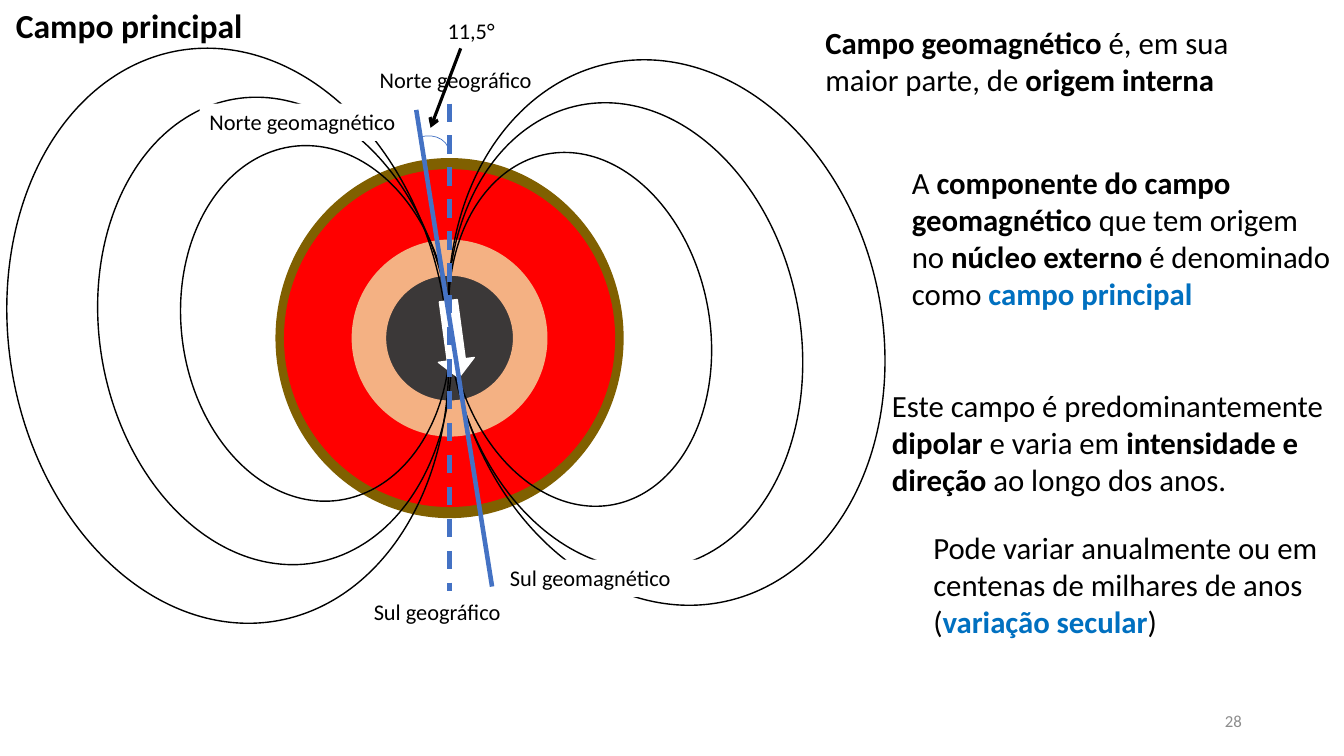
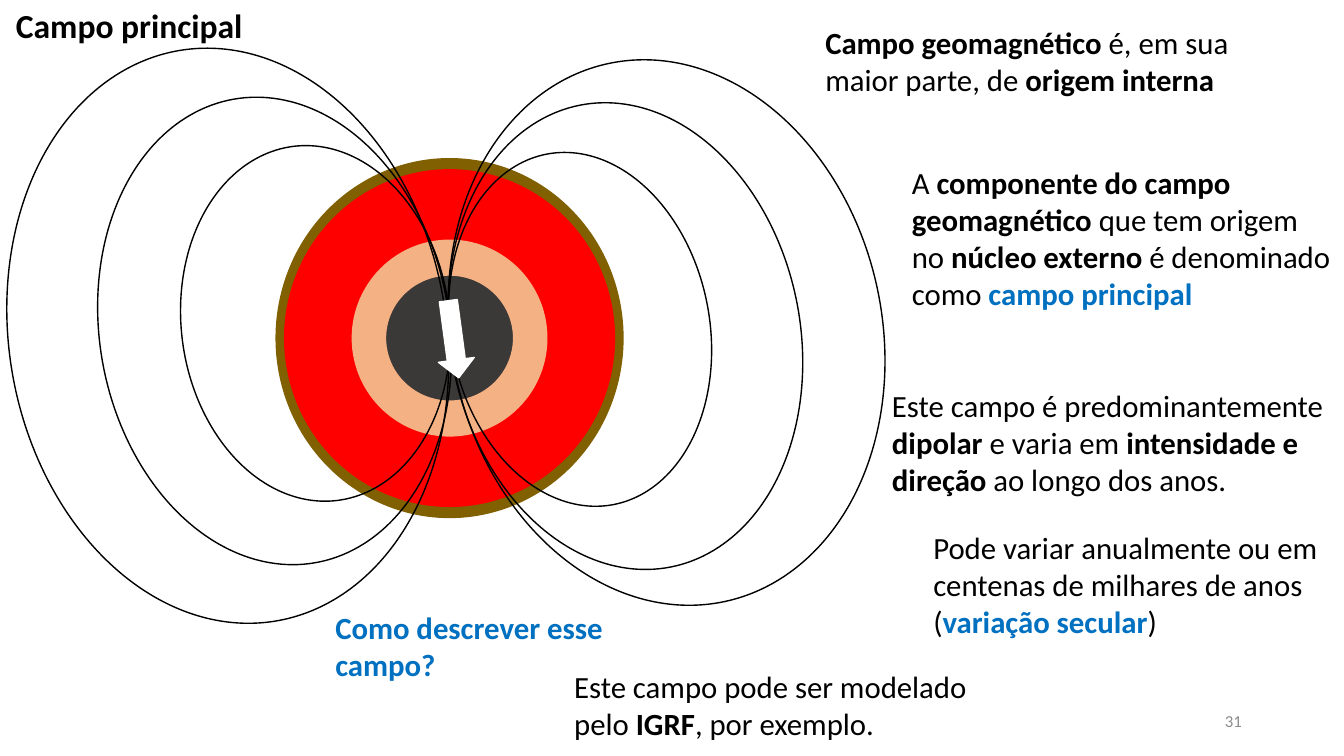
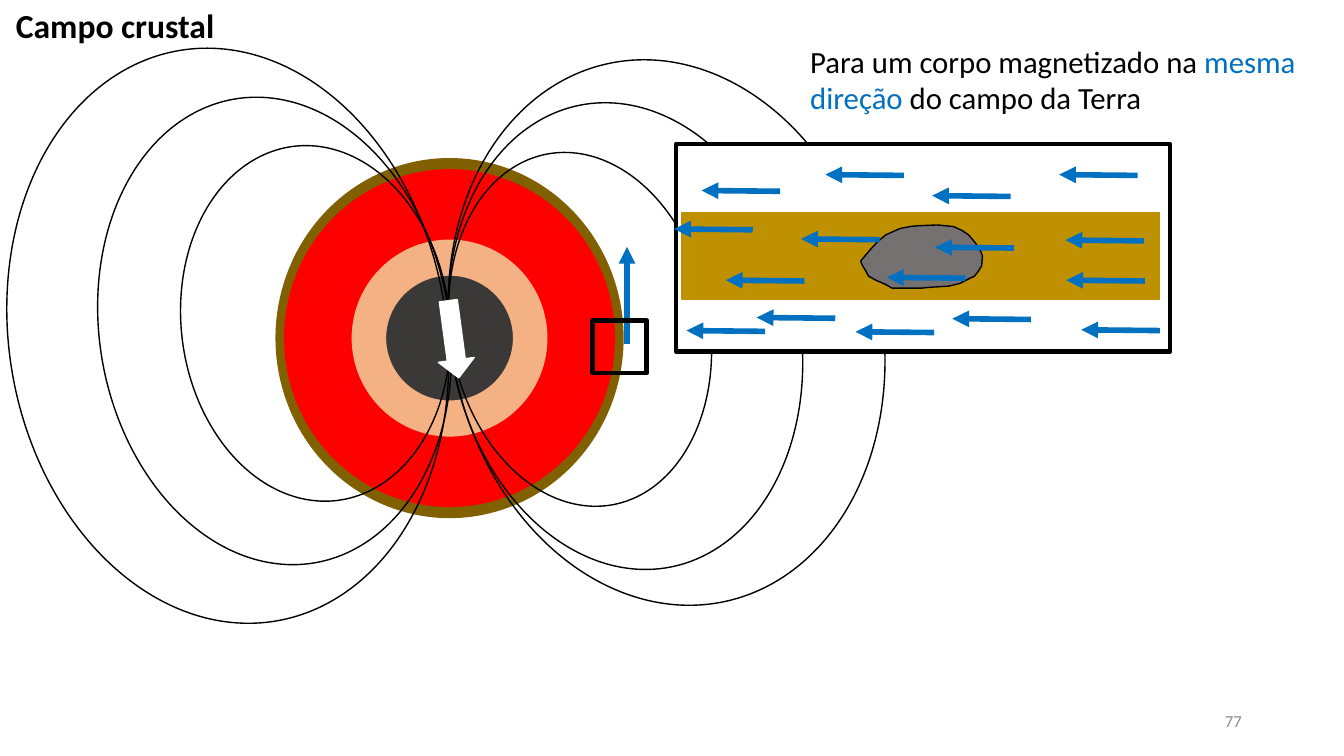
import pptx
import pptx.dml.color
import pptx.enum.dml
import pptx.enum.shapes
import pptx.enum.text
import pptx.oxml
import pptx.oxml.ns
import pptx.util

Cm = pptx.util.Cm
Pt = pptx.util.Pt
PRESET = pptx.enum.shapes.MSO_SHAPE

COLORS = {
    "text": "000000", "accent": "0070C0", "number": "8C8C8C", "white": "FFFFFF",
    "crust": "806000", "mantle": "FF0000", "outer core": "F4B183",
    "inner core": "3B3838", "axis": "4472C4", "rock layer": "BF9000",
    "rock body": "767171",
}
FONT = "Calibri"

# Boxes in centimetres: left, top, width, height
EARTH_BOX = (6.96, 4.0, 8.74, 9.04)
NOTES_BOX = (20.55, 0.48, 13.2, 15.8)
INSET_BOX = (17.04, 3.63, 12.45, 5.23)
NUMBER_BOX = (23.93, 17.65, 7.62, 1.02)

# Concentric layers: fill, line, width, height
EARTH_LAYERS = [
    ("crust", "crust", 8.74, 9.04),
    ("mantle", "mantle", 8.31, 8.48),
    ("outer core", "outer core", 4.9, 4.93),
    ("inner core", "outer core", 3.23, 3.18),
]
# Field lines: centre offset from the Earth's centre, width, height, rotation
FIELD_LINES = [
    (-3.38, -0.37, 6.76, 8.99, 352.9),
    (3.29, -0.22, 6.53, 8.99, 349.3),
    (-4.41, -0.18, 8.81, 11.86, 350),
    (4.43, -0.05, 8.81, 11.86, 348.9),
    (5.47, -0.14, 10.85, 13.87, 347.6),
    (-5.59, -0.06, 11.02, 14.58, 350.3),
]
# Notes: offset in the column, width, height, runs with their style
MAIN_FIELD_NOTES = [
    (0, 0, 10.97, 2.13, [
        ("Campo geomagnético ", "bold"), ("é, em sua maior parte, de ", ""),
        ("origem interna", "bold")]),
    (2.18, 3.53, 11.07, 4.01, [
        ("A ", ""), ("componente do campo geomagnético ", "bold"),
        ("que tem origem no ", ""), ("núcleo externo", "bold"),
        (" é denominado como ", ""), ("campo principal", "bold accent")]),
    (1.68, 9.15, 12.57, 3.07, [
        ("Este campo é predominantemente ", ""), ("dipolar", "bold"),
        (" e varia em ", ""), ("intensidade e direção", "bold"),
        (" ao longo dos anos.", "")]),
    (2.72, 12.73, 10.49, 3.07, [
        ("Pode variar anualmente ou em centenas de milhares de anos (", ""),
        ("variação secular", "bold accent"), (")", "")]),
]
# Right-hand ends of the arrows in the inset
INSET_ARROWS = [
    (1.93, 2.16), (2.62, 1.19), (5.74, 0.79), (8.43, 1.32),
    (5.13, 2.41), (11.63, 0.79), (7.29, 3.38), (8.51, 2.62),
    (11.79, 2.44), (11.81, 3.45), (12.19, 4.7), (8.94, 4.42),
    (6.5, 4.75), (4.01, 4.39), (2.24, 4.72), (3.23, 3.45),
]
ARROW_LENGTH, ARROW_RISE = 1.98, 0.02
ROCK_BODY = [
    (4.65, 2.95), (4.8, 2.77), (4.93, 2.62), (5.08, 2.46), (5.28, 2.29),
    (5.46, 2.21), (5.64, 2.13), (5.89, 2.08), (6.1, 2.06), (6.58, 2.04),
    (6.99, 2.08), (7.21, 2.18), (7.37, 2.29), (7.54, 2.49), (7.67, 2.69),
    (7.72, 2.82), (7.7, 3.07), (7.62, 3.2), (7.52, 3.33), (7.37, 3.4),
    (7.16, 3.51), (6.88, 3.58), (6.4, 3.61), (6.2, 3.63), (5.44, 3.63),
    (5.26, 3.53), (5.03, 3.43), (4.85, 3.33), (4.78, 3.2), (4.7, 3.07),
]


# Basic parts
def rgb(name):
    return pptx.dml.color.RGBColor.from_string(COLORS[name])


def paint(shape, fill, line, weight=1):
    shape.shadow.inherit = False
    if fill:
        shape.fill.solid()
        shape.fill.fore_color.rgb = rgb(fill)
    else:
        shape.fill.background()
    shape.line.color.rgb = rgb(line)
    shape.line.width = Pt(weight)


def add_preset(slide, preset, box, fill, line, weight=1, rotation=0):
    shape = slide.shapes.add_shape(preset, *map(Cm, box))
    paint(shape, fill, line, weight)
    shape.rotation = rotation
    return shape


def add_line(slide, start, end, color, weight, head=None, dashed=False):
    line = slide.shapes.add_connector(
        pptx.enum.shapes.MSO_CONNECTOR.STRAIGHT, *map(Cm, (*start, *end)))
    line.line.color.rgb = rgb(color)
    line.line.width = Pt(weight)
    if dashed:
        line.line.dash_style = pptx.enum.dml.MSO_LINE.DASH
    properties = line._element.spPr
    if head:
        tail = pptx.oxml.parse_xml(
            f'<a:tailEnd {pptx.oxml.ns.nsdecls("a")} type="{head}"/>')
        properties.find(pptx.oxml.ns.qn("a:ln")).append(tail)
    properties.append(pptx.oxml.parse_xml(
        f'<a:effectLst {pptx.oxml.ns.nsdecls("a")}/>'))


def add_text(slide, box, runs, size=22, color="text", bold=False):
    text = slide.shapes.add_textbox(*map(Cm, box))
    frame = text.text_frame
    frame.word_wrap = True
    frame.auto_size = pptx.enum.text.MSO_AUTO_SIZE.SHAPE_TO_FIT_TEXT
    paragraph = frame.paragraphs[0]
    font = paragraph.font
    font.name, font.size, font.bold = FONT, Pt(size), bold
    font.color.rgb = rgb(color)
    for words, style in runs:
        run = paragraph.add_run()
        run.text = words
        if "bold" in style:
            run.font.bold = True
        if "accent" in style:
            run.font.color.rgb = rgb("accent")
    return text


# Regions
def centre_of(box):
    left, top, width, height = box
    return left + width / 2, top + height / 2


def centred(middle, dx, dy, width, height):
    return (middle[0] + dx - width / 2, middle[1] + dy - height / 2,
            width, height)


def add_earth(slide, box):
    middle = centre_of(box)
    for fill, line, width, height in EARTH_LAYERS:
        add_preset(slide, PRESET.OVAL, centred(middle, 0, 0, width, height),
                   fill, line)
    for *place, rotation in FIELD_LINES:
        add_preset(slide, PRESET.OVAL, centred(middle, *place), None, "text",
                   rotation=rotation)
    # Dipole
    add_preset(slide, PRESET.DOWN_ARROW,
               centred(middle, 0.1, 0.03, 0.91, 1.96), "white", "white",
               rotation=352.3)


def add_axes(slide, box):
    middle = centre_of(box)

    def at(dx, dy):
        return middle[0] + dx, middle[1] + dy

    def label(words, dx, dy, width, filled=False):
        text = add_text(slide, (*at(dx, dy), width, 0.94), [(words, "")], 16)
        if filled:
            text.fill.solid()
            text.fill.fore_color.rgb = rgb("white")

    # Geographic axis
    add_line(slide, at(0, -5.91), at(0, 6.36), "axis", 3.25, dashed=True)
    label("Norte geográfico", -2.01, -6.97, 4.88)
    label("Sul geográfico", -2.16, 6.44, 4.88)
    # Geomagnetic axis
    add_line(slide, at(-0.84, -5.75), at(1.07, 6.26), "axis", 3.25)
    label("Sul geomagnético", 1.27, 5.58, 5.66, filled=True)
    label("Norte geomagnético", -6.3, -5.91, 5.26, filled=True)
    # Angle between the axes
    angle = add_preset(slide, PRESET.ARC,
                       centred(middle, -0.55, -4.64, 1.09, 0.91),
                       None, "axis", 0.5, 353)
    angle.adjustments[0] = 150.606
    angle.adjustments[1] = 0
    add_line(slide, at(0.28, -7.3), at(-0.48, -5.3), "text", 2.25, "arrow")
    label("11,5°", -0.3, -8.22, 2.08)


def add_notes(slide, box):
    left, top = box[:2]
    for dx, dy, width, height, runs in MAIN_FIELD_NOTES:
        add_text(slide, (left + dx, top + dy, width, height), runs)


def add_inset(slide, box):
    left, top = box[:2]
    add_preset(slide, PRESET.RECTANGLE, box, "white", "text", 3.25)
    add_preset(slide, PRESET.RECTANGLE, (left + 0.15, top + 1.73, 12.04, 2.18),
               "rock layer", "rock layer")
    # Magnetized body
    outline = [(Cm(left + x), Cm(top + y)) for x, y in ROCK_BODY]
    builder = slide.shapes.build_freeform(*outline[0])
    builder.add_line_segments(outline[1:], close=True)
    paint(builder.convert_to_shape(), "rock body", "text")
    # Local field
    for x, y in INSET_ARROWS:
        start = left + x, top + y
        end = start[0] - ARROW_LENGTH, start[1] - ARROW_RISE
        add_line(slide, start, end, "accent", 4, "triangle")


def add_zoom_area(slide, box):
    x, y = middle = centre_of(box)
    add_line(slide, (x + 4.47, y + 0.14), (x + 4.47, y - 2.3),
             "accent", 4, "triangle")
    add_preset(slide, PRESET.RECTANGLE,
               centred(middle, 4.29, 0.22, 1.37, 1.32), None, "text", 3.5)


# Slides
def add_base_slide(deck, title, title_width, number):
    slide = deck.slides.add_slide(deck.slide_layouts[6])
    add_earth(slide, EARTH_BOX)
    add_text(slide, (0.15, 0, title_width, 1.27), [(title, "")], 24, bold=True)
    page = add_text(slide, NUMBER_BOX, [(str(number), "")], 12, "number")
    page.text_frame.auto_size = pptx.enum.text.MSO_AUTO_SIZE.NONE
    page.text_frame.vertical_anchor = pptx.enum.text.MSO_ANCHOR.MIDDLE
    page.text_frame.paragraphs[0].alignment = pptx.enum.text.PP_ALIGN.RIGHT
    return slide


def add_main_field_slide(deck, number):
    slide = add_base_slide(deck, "Campo principal", 6.83, number)
    add_notes(slide, NOTES_BOX)
    return slide


def add_crustal_field_slide(deck, number):
    slide = add_base_slide(deck, "Campo crustal", 6.07, number)
    add_inset(slide, INSET_BOX)
    add_zoom_area(slide, EARTH_BOX)
    add_text(slide, (20.17, 0.94, 12.88, 2.13), [
        ("Para um corpo magnetizado na ", ""), ("mesma direção ", "accent"),
        ("do campo da Terra", "")])


def main():
    deck = pptx.Presentation()
    deck.slide_width, deck.slide_height = Cm(33.87), Cm(19.05)

    axes_slide = add_main_field_slide(deck, 28)
    add_axes(axes_slide, EARTH_BOX)

    model_slide = add_main_field_slide(deck, 31)
    add_text(model_slide, (14.22, 16.71, 10.97, 2.13), [
        ("Este campo pode ser modelado pelo ", ""), ("IGRF", "bold"),
        (", por exemplo.", "")])
    add_text(model_slide, (8.2, 15.21, 9.8, 2.13),
             [("Como descrever esse campo?", "")], color="accent", bold=True)

    add_crustal_field_slide(deck, 77)
    deck.save("out.pptx")


if __name__ == "__main__":
    main()
